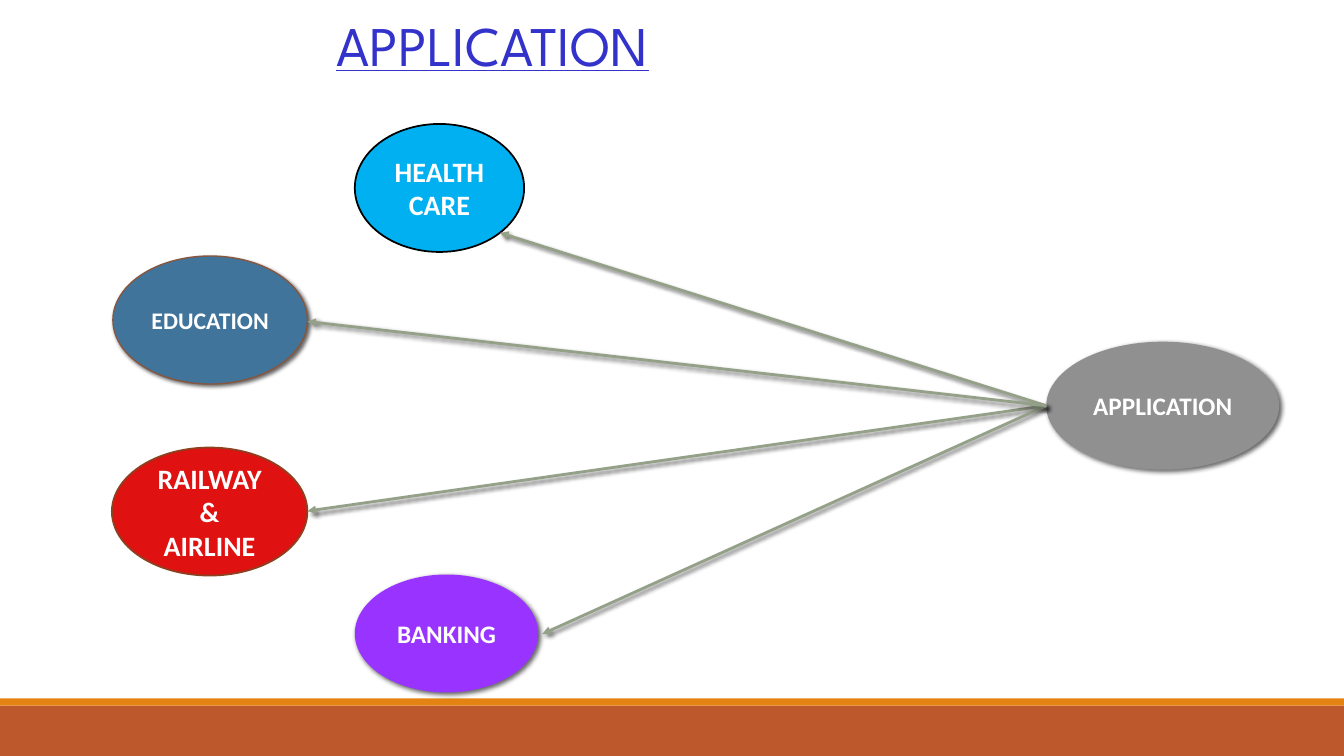
from lxml import etree
from pptx import Presentation
from pptx.dml.color import RGBColor
from pptx.enum.shapes import MSO_CONNECTOR, MSO_SHAPE
from pptx.enum.text import MSO_ANCHOR, MSO_AUTO_SIZE, PP_ALIGN
from pptx.oxml.ns import qn
from pptx.util import Inches, Pt

C = {
    "rust": "BD582C", "orange": "E48312", "title": "3333CC", "white": "FFFFFF",
    "gray": "909090", "purple": "9933FF", "sky": "00B0F0", "red": "DF1111",
    "steel": "40749B", "black": "000000", "brown": "8C4121", "umber": "865640",
    "sage": "94A088",
}
C = {name: RGBColor.from_string(value) for name, value in C.items()}

prs = Presentation()
prs.slide_width, prs.slide_height = Inches(13.33), Inches(7.5)
slide = prs.slides.add_slide(prs.slide_layouts[6])
shapes = slide.shapes

# Grid of 40 columns by 30 rows
COL, ROW = prs.slide_width / 40, prs.slide_height / 30


def grid(*values):
    """Turn alternating columns and rows into lengths."""
    return [round(v * (ROW if i % 2 else COL)) for i, v in enumerate(values)]


def set_shadow(sp, blur):
    """Give a shape an outer shadow, or an empty effect list if blur is 0."""
    effects = etree.SubElement(sp._element.spPr, qn("a:effectLst"))
    if blur:
        outer = etree.SubElement(
            effects, qn("a:outerShdw"), blurRad=str(Pt(blur)), dist=str(Pt(2)),
            dir=str(45 * 60000), algn="ctr", rotWithShape="0")
        color = etree.SubElement(outer, qn("a:srgbClr"), val=str(C["black"]))
        etree.SubElement(color, qn("a:alpha"), val="60000")


# Footer bands
for top, height, color in [(28, 2, "rust"), (27.72, 0.28, "orange")]:
    sp = shapes.add_shape(MSO_SHAPE.RECTANGLE, *grid(0, top, 40, height))
    sp.shadow.inherit = False
    sp.fill.solid()
    sp.fill.fore_color.rgb = C[color]
    sp.line.fill.background()

# Title
sp = shapes.add_textbox(*grid(8.61, 0.24, 12.09, 6.72))
tf = sp.text_frame
tf.word_wrap = False
tf.auto_size = MSO_AUTO_SIZE.SHAPE_TO_FIT_TEXT
p = tf.paragraphs[0]
p.text = "APPLICATION"
p.alignment = PP_ALIGN.CENTER
p.font.name, p.font.size = "League Spartan", Pt(40)
p.font.underline = True
p.font.color.rgb = C["title"]

# Ellipses: text, box, fill, font size, outline (colour, width), shadow blur
ellipses = [
    ("APPLICATION", (31.14, 13.56, 6.93, 5.08), "gray", 18, None, 3.5),
    ("BANKING", (10.56, 22.8, 5.46, 4.68), "purple", 18, None, 3.5),
    ("HEALTH CARE", (10.56, 4.92, 5.04, 5.08), "sky", 20, ("black", 1.25), 0),
    ("RAILWAY &\nAIRLINE", (3.33, 17.76, 5.82, 5.08), "red", 20, ("brown", 1.25), 0),
    ("EDUCATION", (3.36, 10.16, 5.79, 5.08), "steel", 17, ("umber", 1), 3),
]
for text, box, fill, size, outline, blur in ellipses:
    sp = shapes.add_shape(MSO_SHAPE.OVAL, *grid(*box))
    sp.fill.solid()
    sp.fill.fore_color.rgb = C[fill]
    if outline:
        sp.line.color.rgb = C[outline[0]]
        sp.line.width = Pt(outline[1])
    else:
        sp.line.fill.background()
    set_shadow(sp, blur)
    tf = sp.text_frame
    tf.word_wrap = True
    tf.vertical_anchor = MSO_ANCHOR.MIDDLE
    tf.text = text
    for p in tf.paragraphs:
        p.alignment = PP_ALIGN.CENTER
        p.font.name, p.font.size, p.font.bold = "Calibri", Pt(size), True
        p.font.color.rgb = C["white"]

# Arrows from the hub to health care, railway, banking and education
hub = (31.14, 16.1)
for tip in [(14.88, 9.24), (9.15, 20.28), (16.14, 25.16), (9.15, 12.76)]:
    arrow = shapes.add_connector(MSO_CONNECTOR.STRAIGHT, *grid(*hub, *tip))
    arrow.line.color.rgb = C["sage"]
    arrow.line.width = Pt(2)
    etree.SubElement(arrow.line._get_or_add_ln(), qn("a:tailEnd"), type="triangle")
    set_shadow(arrow, 3)

prs.save("out.pptx")
